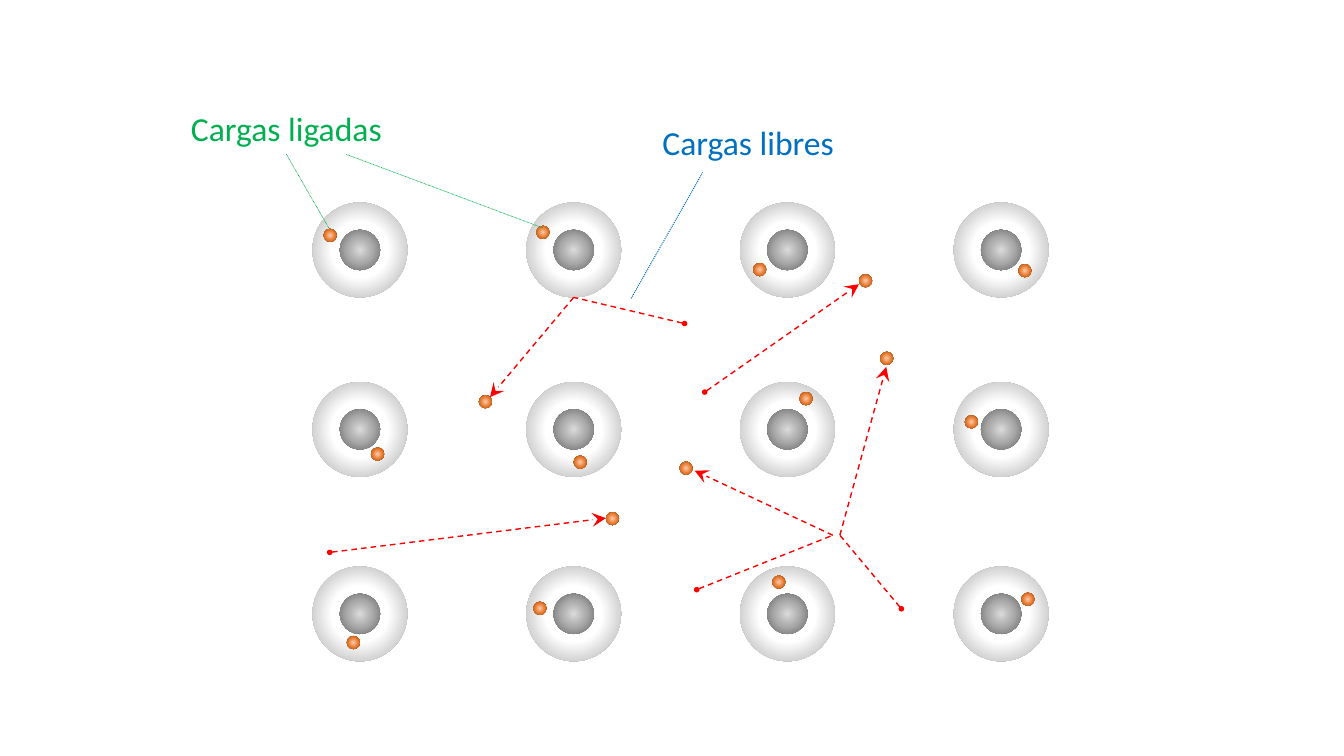
from lxml.etree import SubElement
from pptx import Presentation
from pptx.dml.color import RGBColor
from pptx.enum.dml import MSO_LINE
from pptx.enum.shapes import MSO_CONNECTOR, MSO_SHAPE
from pptx.enum.text import MSO_AUTO_SIZE, PP_ALIGN
from pptx.oxml.ns import qn
from pptx.util import Inches, Pt

COLORS = {"bound": "00B050", "free": "0070C0", "path": "FF0000"}

# Radial gradients: (position in percent, colour) from centre to rim
GRADIENTS = {
    "cloud": [(0, "FFFFFF"), (42, "FFFFFF"), (100, "A5A5A5")],
    "nucleus": [(0, "DBDBDB"), (46, "AAAAAA"), (100, "636363")],
    "electron": [(0, "F8CBAD"), (46, "EE843B"), (100, "9E480E")],
}

# Lattice of atoms, in inches
LATTICE_LEFT, COLUMN_STEP = 3.1, 2.12
ROW_TOPS = [2.01, 3.79, 5.62]
CLOUD, NUCLEUS, ELECTRON = 0.94, 0.4, 0.13

# Electron offset from the top left of its atom, by row and column
BOUND_ELECTRONS = [
    [(0.11, 0.26), (0.10, 0.23), (0.13, 0.60), (0.64, 0.61)],
    [(0.58, 0.65), (0.47, 0.73), (0.59, 0.10), (0.11, 0.33)],
    [(0.34, 0.69), (0.07, 0.35), (0.32, 0.09), (0.67, 0.26)],
]

# Free electron (left, top) and the points of its path, start to tip
FREE_ELECTRONS = [
    ((4.75, 3.92), [(6.79, 3.21), (5.69, 2.95), (4.86, 3.94)]),
    ((6.01, 5.08), [(3.27, 5.48), (6.01, 5.14)]),
    ((8.73, 3.49), [(8.94, 6.04), (8.33, 5.31), (8.79, 3.64)]),
    ((6.74, 4.58), [(6.91, 5.85), (8.26, 5.31), (6.89, 4.67)]),
    ((8.52, 2.72), [(6.99, 3.89), (8.52, 2.82)]),
]


def add_ball(shapes, left, top, size, kind):
    """Circle without outline, shaded from its centre."""
    ball = shapes.add_shape(MSO_SHAPE.OVAL, Inches(left), Inches(top),
                            Inches(size), Inches(size))
    ball.shadow.inherit = False
    ball.line.fill.background()
    ball.fill.gradient()
    gradient = ball._element.spPr.find(qn("a:gradFill"))
    for child in list(gradient):
        gradient.remove(child)
    stops = SubElement(gradient, qn("a:gsLst"))
    for position, color in GRADIENTS[kind]:
        stop = SubElement(stops, qn("a:gs"), pos=str(position * 1000))
        SubElement(stop, qn("a:srgbClr"), val=color)
    radial = SubElement(gradient, qn("a:path"), path="circle")
    SubElement(radial, qn("a:fillToRect"), l="50000", t="50000", r="50000", b="50000")


def add_atom(shapes, left, top):
    atom = shapes.add_group_shape()
    inset = (CLOUD - NUCLEUS) / 2
    add_ball(atom.shapes, left, top, CLOUD, "cloud")
    add_ball(atom.shapes, left + inset, top + inset, NUCLEUS, "nucleus")


def add_line(shapes, start, end, color, width, dash, head=None, tail=None):
    """Dashed line; head and tail are (type, size) of its end marks."""
    line = shapes.add_connector(MSO_CONNECTOR.STRAIGHT,
                                *(Inches(value) for value in (*start, *end)))
    line.line.color.rgb = RGBColor.from_string(COLORS[color])
    line.line.width = Pt(width)
    line.line.dash_style = dash
    properties = line._element.spPr
    outline = properties.find(qn("a:ln"))
    for tag, mark in (("a:headEnd", head), ("a:tailEnd", tail)):
        if mark:
            kind, size = mark
            SubElement(outline, qn(tag), type=kind, w=size, len=size)
    SubElement(properties, qn("a:effectLst"))


def add_path(shapes, points):
    """Path with a dot at its start and an arrow at its tip."""
    last = len(points) - 2
    for index, (start, end) in enumerate(zip(points, points[1:])):
        add_line(shapes, start, end, "path", 1, MSO_LINE.DASH,
                 head=("oval", "sm") if index == 0 else None,
                 tail=("stealth", "lg") if index == last else None)


def add_label(shapes, left, top, width, text, color):
    box = shapes.add_textbox(Inches(left), Inches(top), Inches(width), Inches(0.5))
    frame = box.text_frame
    frame.word_wrap = True
    frame.auto_size = MSO_AUTO_SIZE.SHAPE_TO_FIT_TEXT
    paragraph = frame.paragraphs[0]
    paragraph.text = text
    paragraph.alignment = PP_ALIGN.CENTER
    paragraph.font.name = "Calibri"
    paragraph.font.size = Pt(24)
    paragraph.font.color.rgb = RGBColor.from_string(COLORS[color])


def main():
    presentation = Presentation()
    presentation.slide_width = Inches(13.33)
    presentation.slide_height = Inches(7.5)
    slide = presentation.slides.add_slide(presentation.slide_layouts[6])
    shapes = slide.shapes

    # Labels
    add_label(shapes, 1.68, 1.02, 2.32, "Cargas ligadas", "bound")
    add_label(shapes, 6.4, 1.16, 2.04, "Cargas libres", "free")

    # Atoms with their bound electrons
    for top, offsets in zip(ROW_TOPS, BOUND_ELECTRONS):
        for column, (across, down) in enumerate(offsets):
            left = LATTICE_LEFT + column * COLUMN_STEP
            add_atom(shapes, left, top)
            add_ball(shapes, left + across, top + down, ELECTRON, "electron")

    # Leaders from the labels
    add_line(shapes, (6.26, 2.96), (6.97, 1.71), "free", 0.75, MSO_LINE.ROUND_DOT)
    add_line(shapes, (5.38, 2.26), (3.43, 1.53), "bound", 0.5, MSO_LINE.ROUND_DOT)
    add_line(shapes, (3.26, 2.26), (2.84, 1.53), "bound", 0.5, MSO_LINE.ROUND_DOT)

    # Free electrons and their paths
    for (left, top), points in FREE_ELECTRONS:
        add_path(shapes, points)
        add_ball(shapes, left, top, ELECTRON, "electron")

    presentation.save("out.pptx")


if __name__ == "__main__":
    main()
